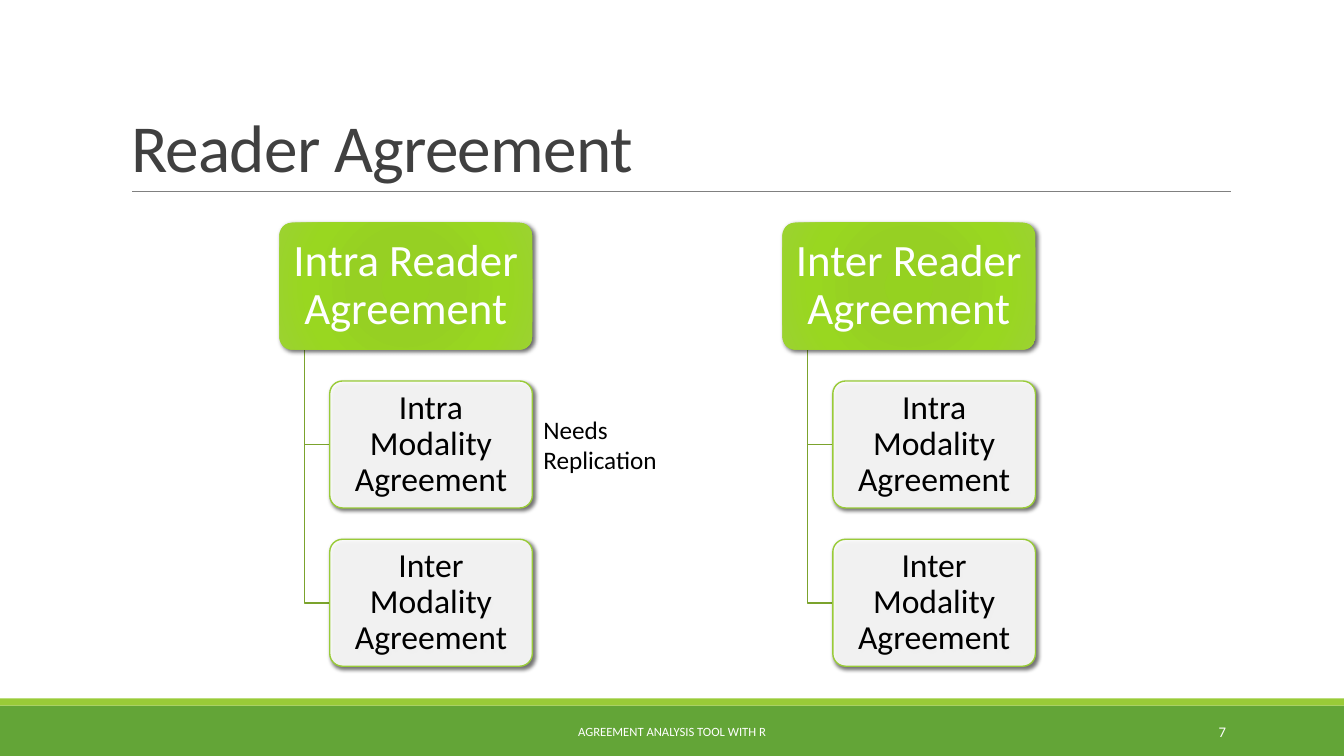
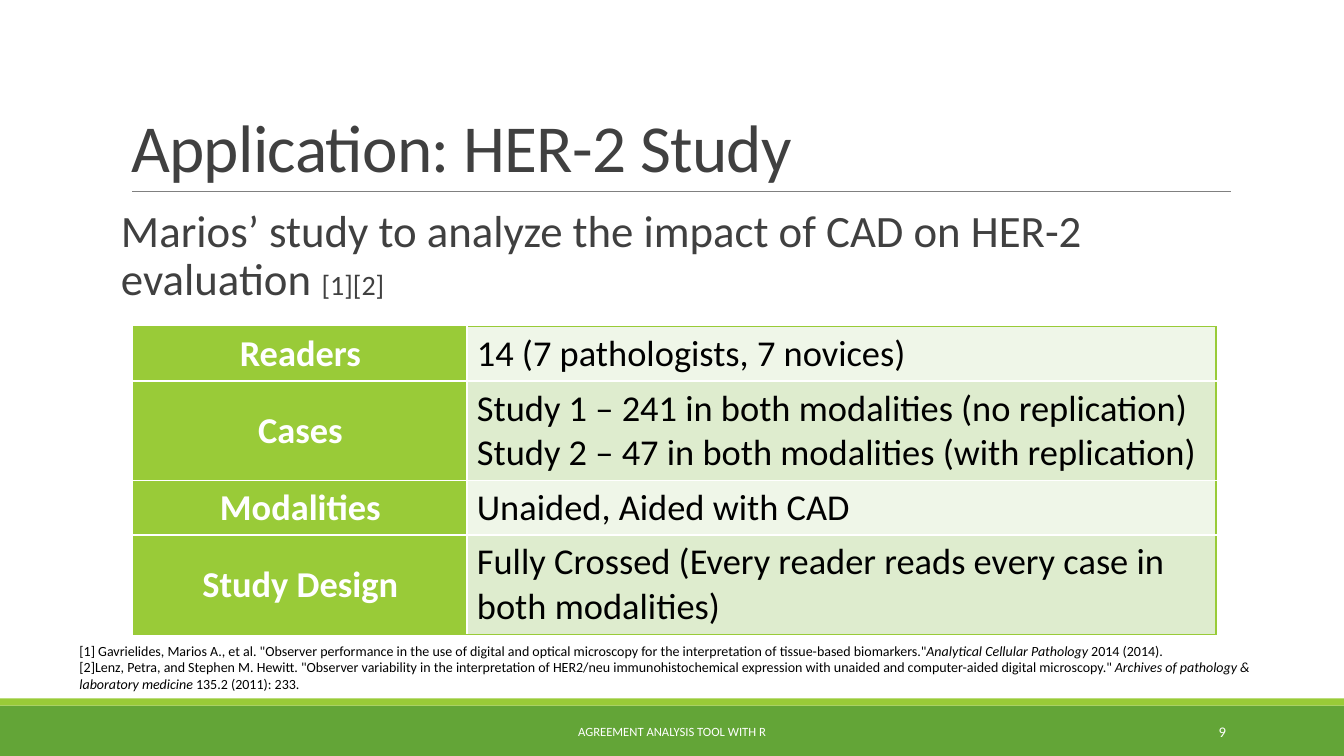
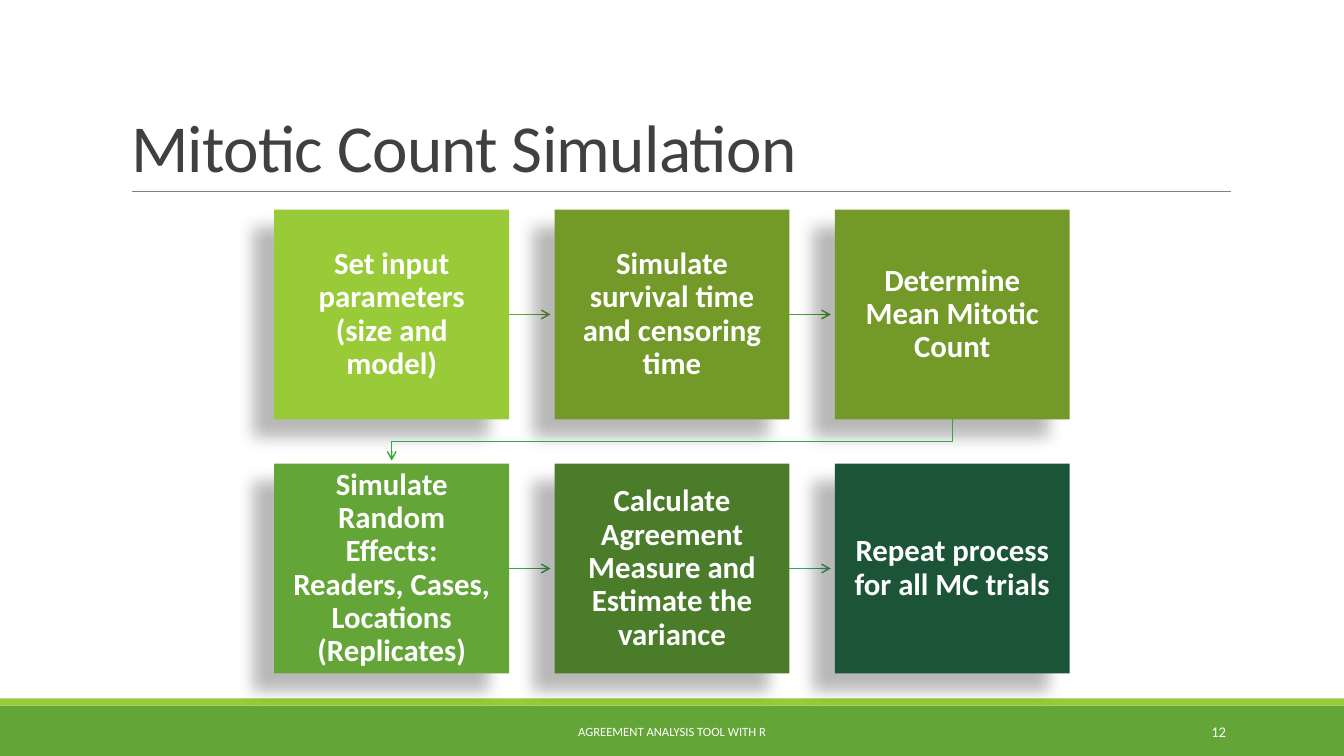
from lxml import etree
from pptx import Presentation
from pptx.dml.color import RGBColor
from pptx.enum.shapes import MSO_CONNECTOR, MSO_SHAPE
from pptx.enum.text import MSO_ANCHOR, MSO_AUTO_SIZE, PP_ALIGN
from pptx.oxml import parse_xml
from pptx.oxml.ns import nsdecls, qn
from pptx.util import Inches, Pt

RECT, ROUNDED = MSO_SHAPE.RECTANGLE, MSO_SHAPE.ROUNDED_RECTANGLE
STRAIGHT = MSO_CONNECTOR.STRAIGHT
LEFT, CENTER, RIGHT = PP_ALIGN.LEFT, PP_ALIGN.CENTER, PP_ALIGN.RIGHT
TOP, MIDDLE, BOTTOM = MSO_ANCHOR.TOP, MSO_ANCHOR.MIDDLE, MSO_ANCHOR.BOTTOM
NO_FIT = MSO_AUTO_SIZE.NONE
TITLE_ONLY, TITLE_AND_BODY = 5, 1
RIGHT_SIDE = 3

FONT = "Calibri"
FOOTER = "AGREEMENT ANALYSIS TOOL WITH R"
COLORS = {
    "white": "FFFFFF", "black": "000000", "text": "404040", "rule": "808080",
    "green": "63A537", "lime": "99CB38", "branch": "7BA32D",
    "row_light": "EFF6E8", "row_dark": "DEECCE",
    "olive": "739A28", "moss": "4A7C29", "forest": "1C5438",
    "arrow1": "63A537", "arrow2": "4AA537", "arrow3": "37A63D",
    "arrow4": "37A656", "arrow5": "37A76F",
}
HEAD_GRADIENT = ((0, "95D220"), (34, "96D023"), (70, "99D720"), (100, "9BD231"))
# Shadows: opacity %, blur pt, distance pt, angle
HEAD_SHADOW = (60, 3.5, 2, 45)
CHILD_SHADOW = (60, 3, 2, 45)
STEP_SHADOW = (28, 11.8, 19.7, 141)


def rgb(name):
    return RGBColor.from_string(COLORS[name])


class Deck:
    """House style plus the slide being filled."""

    def __init__(self):
        self.prs = Presentation()
        self.prs.slide_width, self.prs.slide_height = Inches(13.33), Inches(7.5)
        self.slide = None

    def new_slide(self, title, number, layout=TITLE_ONLY):
        self.slide = self.prs.slides.add_slide(self.prs.slide_layouts[layout])
        # Bands and title rule
        self.box((0, 7, 13.33, 0.5), "green")
        self.box((0, 6.93, 13.33, 0.07), "lime")
        self.line((1.31, 1.9), (12.21, 1.9), "rule", 0.5)
        # Title
        heading = self.slide.shapes.title
        self.place(heading, (1.2, 0.31, 11, 1.59))
        heading.text_frame.text = title
        self.format(heading.text_frame, 48, "text", anchor=BOTTOM, spacing=0.85)
        for run in heading.text_frame.paragraphs[0].runs:
            run.font.element.set("spc", "-50") if hasattr(run.font, "element") \
                else run._r.get_or_add_rPr().set("spc", "-50")
        # Footer
        self.text((4.03, 7.06, 5.27, 0.4), FOOTER, 9, "white", CENTER, MIDDLE)
        self.text((10.83, 7.06, 1.43, 0.4), number, 10.5, "white", RIGHT, MIDDLE)

    def place(self, shape, at):
        shape.left, shape.top, shape.width, shape.height = map(Inches, at)

    def format(self, frame, size, color, align=LEFT, anchor=TOP, bold=False,
               spacing=None):
        frame.word_wrap, frame.auto_size = True, NO_FIT
        frame.vertical_anchor = anchor
        self.format_paragraphs(frame, size, color, align, bold, spacing)

    def format_paragraphs(self, frame, size, color, align, bold, spacing=None):
        for paragraph in frame.paragraphs:
            paragraph.alignment = align
            if spacing:
                paragraph.line_spacing = spacing
            for run in paragraph.runs:
                font = run.font
                font.name, font.size, font.bold = FONT, Pt(size), bold
                font.color.rgb = rgb(color)

    def text(self, at, words, size, color, align=LEFT, anchor=TOP):
        frame = self.slide.shapes.add_textbox(*map(Inches, at)).text_frame
        frame.text = words
        self.format(frame, size, color, align, anchor)
        return frame

    def box(self, at, fill, outline=None, kind=RECT, shadow=None):
        shape = self.slide.shapes.add_shape(kind, *map(Inches, at))
        shape.fill.solid()
        shape.fill.fore_color.rgb = rgb(fill)
        if outline:
            shape.line.color.rgb = rgb(outline)
            shape.line.width = Pt(1)
        else:
            shape.line.fill.background()
        if kind == ROUNDED:
            shape.adjustments[0] = 0.1
        shape.shadow.inherit = False
        if shadow:
            self.cast_shadow(shape, *shadow)
        return shape

    def label(self, shape, words, size, color, inset, bold=False):
        frame = shape.text_frame
        frame.margin_left = frame.margin_right = Inches(inset)
        frame.margin_top = frame.margin_bottom = Inches(inset)
        frame.text = words
        self.format(frame, size, color, CENTER, MIDDLE, bold, 0.9)

    def cast_shadow(self, shape, opacity, blur, distance, angle):
        effects = shape.element.spPr.find(qn("a:effectLst"))
        effects.append(parse_xml(
            f'<a:outerShdw {nsdecls("a")} blurRad="{Pt(blur)}" '
            f'dist="{Pt(distance)}" dir="{angle * 60000}" algn="ctr" '
            f'rotWithShape="0"><a:srgbClr val="{COLORS["black"]}">'
            f'<a:alpha val="{opacity * 1000}"/></a:srgbClr></a:outerShdw>'))

    def radial_fill(self, shape, stops):
        marks = "".join(f'<a:gs pos="{pos * 1000}"><a:srgbClr val="{color}"/></a:gs>'
                        for pos, color in stops)
        solid = shape.element.spPr.find(qn("a:solidFill"))
        solid.getparent().replace(solid, parse_xml(
            f'<a:gradFill {nsdecls("a")} rotWithShape="1"><a:gsLst>{marks}</a:gsLst>'
            '<a:path path="circle"><a:fillToRect l="100000" t="100000" '
            'r="100000" b="100000"/></a:path></a:gradFill>'))

    def set_opacity(self, shape, percent):
        color = shape.element.spPr.find(qn("a:solidFill"))[0]
        etree.SubElement(color, qn("a:alpha"), val=str(percent * 1000))

    def stroke(self, shape, color, width, arrow):
        shape.line.color.rgb = rgb(color)
        shape.line.width = Pt(width)
        if arrow:
            outline = shape.element.spPr.find(qn("a:ln"))
            etree.SubElement(outline, qn("a:tailEnd"), type="arrow")

    def line(self, start, end, color, width, arrow=False, source=None):
        link = self.slide.shapes.add_connector(
            STRAIGHT, *map(Inches, (*start, *end)))
        if source is not None:
            link.begin_connect(source, RIGHT_SIDE)
        self.stroke(link, color, width, arrow)
        etree.SubElement(link.element.spPr, qn("a:effectLst"))

    def bent_line(self, points, color, width, arrow=False):
        corners = [tuple(map(Inches, point)) for point in points]
        builder = self.slide.shapes.build_freeform(*corners[0], scale=1.0)
        builder.add_line_segments(corners[1:], close=False)
        route = builder.convert_to_shape()
        route.fill.background()
        route.shadow.inherit = False
        self.stroke(route, color, width, arrow)

    def table(self, at, widths, heights, rows):
        grid = self.slide.shapes.add_table(
            len(rows), len(widths), *map(Inches, at)).table
        grid.first_row = grid.horz_banding = False
        for column, width in zip(grid.columns, widths):
            column.width = Inches(width)
        for r, (row, height) in enumerate(zip(rows, heights)):
            grid.rows[r].height = Inches(height)
            for c, words in enumerate(row):
                cell, header = grid.cell(r, c), c == 0
                cell.text = words
                cell.vertical_anchor = MIDDLE
                self.format_paragraphs(
                    cell.text_frame, 26, "white" if header else "black",
                    CENTER if header else LEFT, header)
                cell.fill.solid()
                band = "row_dark" if r % 2 else "row_light"
                cell.fill.fore_color.rgb = rgb("lime" if header else band)
                self.cell_borders(cell, L=c == 0, R=c == len(row) - 1,
                                  T=r == 0, B=r == len(rows) - 1)

    def cell_borders(self, cell, **outer_sides):
        """Thin lime on the table's edge, white between cells."""
        properties = cell._tc.get_or_add_tcPr()
        for index, (side, outer) in enumerate(outer_sides.items()):
            color, width = ("lime", 1) if outer else ("white", 1.5)
            properties.insert(index, parse_xml(
                f'<a:ln{side} {nsdecls("a")} w="{Pt(width)}"><a:solidFill>'
                f'<a:srgbClr val="{COLORS[color]}"/></a:solidFill></a:ln{side}>'))


def reader_agreement(deck):
    deck.new_slide("Reader Agreement", "7")
    top, height, pitch = 2.21, 1.26, 1.57
    for left, reader in ((2.77, "Intra"), (7.76, "Inter")):
        # Branches from the head to its children
        spine, child_left = left + 0.25, left + 0.5
        for level in (1, 2):
            middle = top + level * pitch + height / 2
            deck.bent_line([(spine, top + height), (spine, middle),
                            (child_left, middle)], "branch", 1.25)
        # Head
        head = deck.box((left, top, 2.51, height), "lime", None, ROUNDED, HEAD_SHADOW)
        deck.radial_fill(head, HEAD_GRADIENT)
        deck.label(head, f"{reader} Reader Agreement", 32, "white", 0.09)
        # Children
        for level, modality in enumerate(("Intra", "Inter"), 1):
            child = deck.box((child_left, top + level * pitch, 2.01, height),
                             "white", "lime", ROUNDED, CHILD_SHADOW)
            deck.set_opacity(child, 90)
            deck.label(child, f"{modality} Modality Agreement", 24, "black", 0.08)
    deck.text((5.29, 4.06, 1.58, 0.71), "Needs Replication", 18, "black")


def her2_study(deck):
    deck.new_slide("Application: HER-2 Study", "9", TITLE_AND_BODY)
    # Lead sentence
    lead = deck.slide.placeholders[1]
    deck.place(lead, (1.2, 2.02, 11, 4.4))
    frame = lead.text_frame
    frame.margin_left = frame.margin_right = 0
    frame.text = "Marios’ study to analyze the impact of CAD on HER-2 evaluation "
    sentence = frame.paragraphs[0]
    citation = sentence.add_run()
    citation.text = "[1][2]"
    deck.format(frame, 32, "text", spacing=0.9)
    citation.font.size = Pt(20)
    sentence.space_before, sentence.space_after = Pt(12), Pt(2)
    properties = sentence._p.get_or_add_pPr()
    properties.set("marL", "0")
    properties.set("indent", "0")
    etree.SubElement(properties, qn("a:buNone"))
    # Study facts
    deck.table((1.33, 3.24, 10.73, 3.04), (3.3, 7.43), (0.54, 0.98, 0.54, 0.98), [
        ("Readers", "14 (7 pathologists, 7 novices)"),
        ("Cases", "Study 1 – 241 in both modalities (no replication)\n"
                  "Study 2 – 47 in both modalities (with replication)"),
        ("Modalities", "Unaided, Aided with CAD"),
        ("Study Design",
         "Fully Crossed (Every reader reads every case in both modalities)"),
    ])
    # References: plain text, italic journal, plain text
    references = [
        ('[1] Gavrielides, Marios A., et al. "Observer performance in the use of '
         'digital and optical microscopy for the interpretation of tissue-based '
         'biomarkers."', "Analytical Cellular Pathology", " 2014 (2014)."),
        ('[2]Lenz, Petra, and Stephen M. Hewitt. "Observer variability in the '
         'interpretation of HER2/neu immunohistochemical expression with unaided '
         'and computer-aided digital microscopy." ',
         "Archives of pathology & laboratory medicine", " 135.2 (2011): 233."),
    ]
    notes = deck.text((0.69, 6.32, 12.34, 0.61), "\n".join(r[0] for r in references),
                      10, "black")
    for paragraph, (_, journal, issue) in zip(notes.paragraphs, references):
        for words, italic in ((journal, True), (issue, False)):
            run = paragraph.add_run()
            run.text, run.font.italic = words, italic
    deck.format(notes, 10, "black")


def mitotic_simulation(deck):
    deck.new_slide("Mitotic Count Simulation", "12")
    left, top, width, height = 2.72, 2.08, 2.33, 2.08
    across, down, reach = 2.78, 2.52, 0.41
    steps = [
        ("Set input parameters (size and model)", "lime", "arrow1"),
        ("Simulate survival time and censoring time", "olive", "arrow2"),
        ("Determine Mean Mitotic Count", "olive", "arrow3"),
        ("Simulate Random Effects: Readers, Cases, Locations (Replicates)",
         "green", "arrow4"),
        ("Calculate Agreement Measure and Estimate the variance", "moss", "arrow5"),
        ("Repeat process for all MC trials", "forest", None),
    ]
    for index, (words, fill, arrow) in enumerate(steps):
        row, column = divmod(index, 3)
        x, y = left + column * across, top + row * down
        step = deck.box((x, y, width, height), fill, shadow=STEP_SHADOW)
        deck.label(step, words, 22, "white", 0.17, bold=True)
        if column < 2:
            side, middle = x + width, y + height / 2
            deck.line((side, middle), (side + reach, middle), arrow, 1, True, step)
        elif arrow:
            # Return to the start of the next row
            center, first, base = x + width / 2, left + width / 2, y + height
            turn = base + (down - height) / 2
            deck.bent_line([(center, base), (center, turn), (first, turn),
                            (first, base + reach)], arrow, 1, True)


def main():
    deck = Deck()
    reader_agreement(deck)
    her2_study(deck)
    mitotic_simulation(deck)
    deck.prs.save("out.pptx")


if __name__ == "__main__":
    main()
